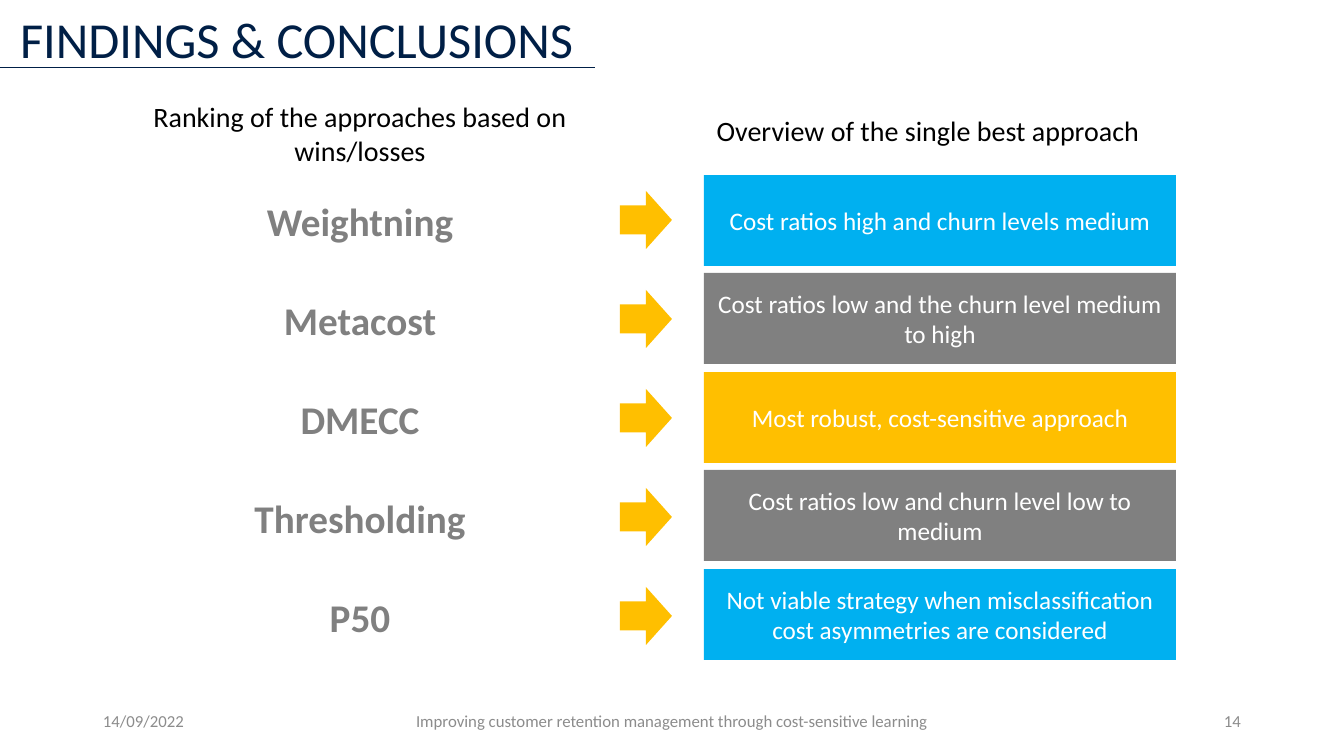
from lxml.etree import SubElement
from pptx import Presentation
from pptx.dml.color import RGBColor
from pptx.enum.shapes import MSO_CONNECTOR, MSO_SHAPE
from pptx.enum.text import MSO_ANCHOR, MSO_AUTO_SIZE, PP_ALIGN
from pptx.oxml.ns import qn
from pptx.util import Emu, Pt

NAVY = RGBColor(0x00, 0x1F, 0x46)
BLUE = RGBColor(0x00, 0xB0, 0xF0)
GREY = RGBColor(0x80, 0x80, 0x80)
GOLD = RGBColor(0xFF, 0xBF, 0x00)
WHITE = RGBColor(0xFF, 0xFF, 0xFF)
BLACK = RGBColor(0x00, 0x00, 0x00)
FOOTER_GREY = RGBColor(0x8C, 0x8C, 0x8C)

APPROACHES = [
    ("Weightning", "Cost ratios high and churn levels medium", BLUE),
    ("Metacost", "Cost ratios low and the churn level medium to high", GREY),
    ("DMECC", "Most robust, cost-sensitive approach", GOLD),
    ("Thresholding", "Cost ratios low and churn level low to medium", GREY),
    ("P50", "Not viable strategy when misclassification cost asymmetries are considered", BLUE),
]


def px(length):
    return Emu(round(length * 914400 / 100.8))


class SlideBuilder:
    font = "Calibri"

    def __init__(self, page):
        self.page = page

    def fill_text(self, shape, text, size, color, align, anchor, bold=False, wrap=True):
        frame = shape.text_frame
        frame.auto_size = MSO_AUTO_SIZE.NONE
        frame.word_wrap = wrap
        frame.vertical_anchor = anchor
        para = frame.paragraphs[0]
        para.alignment = align
        span = para.add_run()
        span.text = text
        span.font.name = self.font
        span.font.size = Pt(size)
        span.font.bold = bold
        span.font.color.rgb = color

    def title(self, text, left, top, width, height):
        title = self.page.shapes.title
        title.left, title.top = px(left), px(top)
        title.width, title.height = px(width), px(height)
        self.fill_text(title, text, 36, NAVY, PP_ALIGN.LEFT, MSO_ANCHOR.TOP, wrap=False)

    def text(self, text, left, top, width, height, size, color,
             align=PP_ALIGN.CENTER, bold=False):
        box = self.page.shapes.add_textbox(px(left), px(top), px(width), px(height))
        self.fill_text(box, text, size, color, align, MSO_ANCHOR.MIDDLE, bold)

    def shape(self, kind, left, top, width, height, fill):
        shape = self.page.shapes.add_shape(kind, px(left), px(top), px(width), px(height))
        shape.shadow.inherit = False
        shape.fill.solid()
        shape.fill.fore_color.rgb = fill
        shape.line.fill.background()
        return shape

    def panel(self, text, left, top, width, height, fill):
        panel = self.shape(MSO_SHAPE.RECTANGLE, left, top, width, height, fill)
        self.fill_text(panel, text, 18, WHITE, PP_ALIGN.CENTER, MSO_ANCHOR.MIDDLE)

    def rule(self, left, top, right):
        rule = self.page.shapes.add_connector(
            MSO_CONNECTOR.STRAIGHT, px(left), px(top), px(right), px(top))
        rule.line.color.rgb = NAVY
        rule.line.width = Pt(0.5)
        SubElement(rule._element.spPr, qn("a:effectLst"))


def main():
    deck = Presentation()
    deck.slide_width, deck.slide_height = px(1344), px(756)
    builder = SlideBuilder(deck.slides.add_slide(deck.slide_layouts[5]))

    builder.title("FINDINGS & CONCLUSIONS", 10, 3, 580, 72)
    builder.rule(0, 67, 595)

    builder.text("Ranking of the approaches based on wins/losses", 124, 94, 472, 78, 20, BLACK)
    builder.text("Overview of the single best approach", 692, 108, 472, 44, 20, BLACK)

    for row, (name, finding, fill) in enumerate(APPROACHES):
        builder.text(name, 124, 175 + 99 * row, 472, 91, 28, GREY, bold=True)
        builder.shape(MSO_SHAPE.RIGHT_ARROW, 620, 191 + 99 * row, 52, 58, GOLD)
        builder.panel(finding, 704, 175 + 197 * row // 2, 472, 91, fill)

    footers = [
        ("14/09/2022", 93, 302, PP_ALIGN.LEFT),
        ("Improving customer retention management through cost-sensitive learning",
         395, 554, PP_ALIGN.CENTER),
        ("14", 949, 302, PP_ALIGN.RIGHT),
    ]
    for text, left, width, align in footers:
        builder.text(text, left, 701, width, 40, 12, FOOTER_GREY, align)

    deck.save("out.pptx")


if __name__ == "__main__":
    main()
